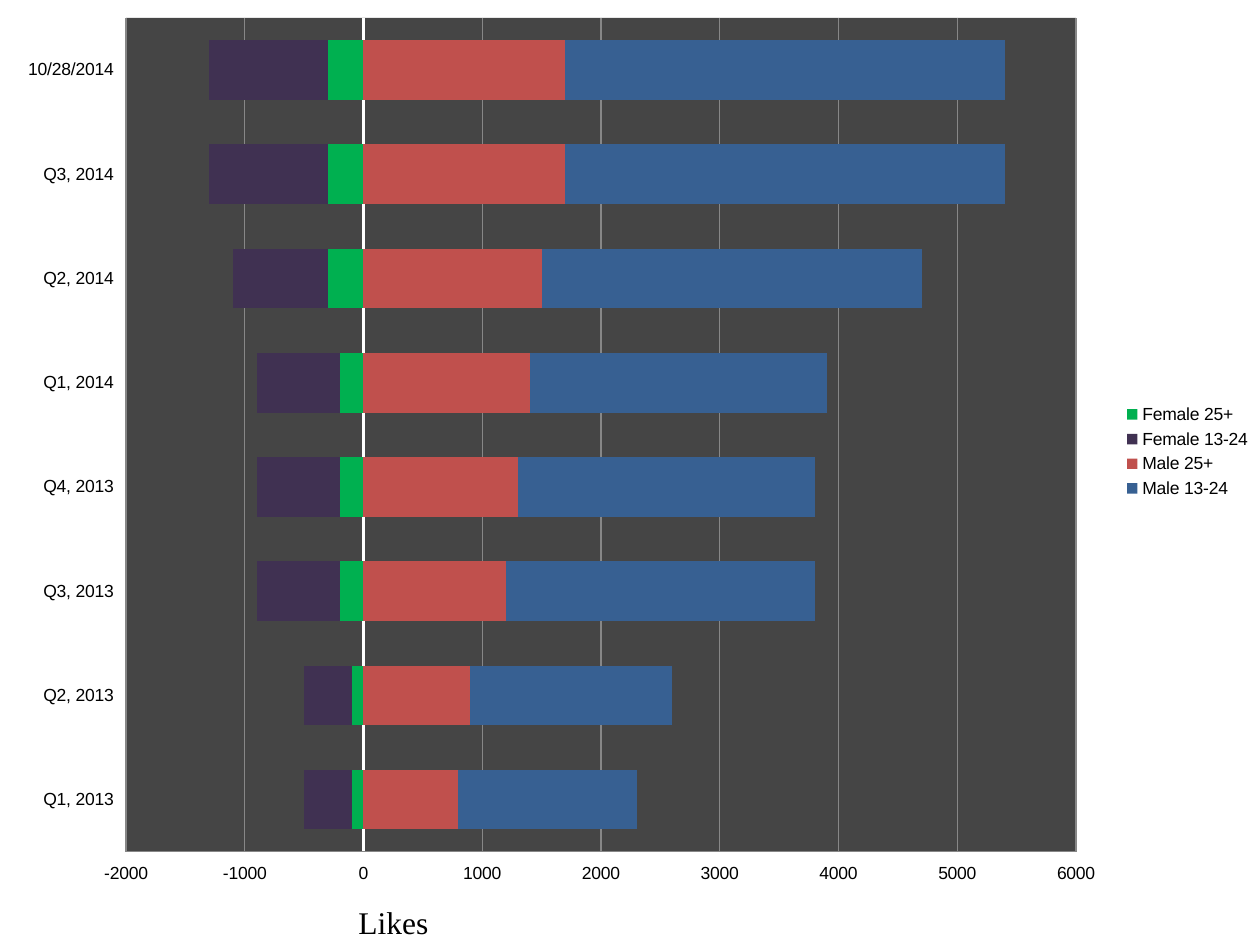
import pptx
import pptx.chart.data
import pptx.dml.color
import pptx.enum.chart
import pptx.oxml
import pptx.oxml.ns
import pptx.util

RGB = pptx.dml.color.RGBColor
BLACK = RGB(0x00, 0x00, 0x00)
WHITE = RGB(0xFF, 0xFF, 0xFF)
GRAY = RGB(0x87, 0x87, 0x87)
CHARCOAL = RGB(0x45, 0x45, 0x45)
BLUE = RGB(0x37, 0x60, 0x92)
RED = RGB(0xC0, 0x50, 0x4D)
PURPLE = RGB(0x40, 0x31, 0x52)
GREEN = RGB(0x00, 0xB0, 0x50)

PX_PER_INCH = 126
CHART_BOX = (4, 0, 1260, 903)
PLOT_BOX = (126, 18, 950, 834)
LABEL_BOX = (346, 897, 105, 50)

QUARTERS = ["Q1, 2013", "Q2, 2013", "Q3, 2013", "Q4, 2013",
            "Q1, 2014", "Q2, 2014", "Q3, 2014", "10/28/2014"]
SERIES = [
    ("Male 13-24", BLUE, [2300, 2600, 3800, 3800, 3900, 4700, 5400, 5400]),
    ("Male 25+", RED, [800, 900, 1200, 1300, 1400, 1500, 1700, 1700]),
    ("Female 13-24", PURPLE, [-500, -500, -900, -900, -900, -1100, -1300, -1300]),
    ("Female 25+", GREEN, [-100, -100, -200, -200, -200, -300, -300, -300]),
]


def px(n):
    return pptx.util.Emu(n * 914400 // PX_PER_INCH)


def set_attrs(obj, values):
    for name, value in values.items():
        setattr(obj, name, value)


def set_font(font, name, size, color):
    set_attrs(font, {"name": name, "size": pptx.util.Pt(size)})
    font.color.rgb = color


def set_line(line, color, width):
    line.color.rgb = color
    line.width = pptx.util.Pt(width)


def format_plot_area(chart):
    area = chart._chartSpace.chart.plotArea
    for old in area.findall(pptx.oxml.ns.qn("c:layout")):
        area.remove(old)
    left, top, width, height = CHART_BOX
    x, y, w, h = PLOT_BOX
    fractions = {"x": (x - left) / width, "y": (y - top) / height,
                 "w": w / width, "h": h / height}
    parts = "".join(f'<c:{k} val="{v:.4f}"/>' for k, v in fractions.items())
    ns = pptx.oxml.ns.nsdecls("c", "a")
    area.insert(0, pptx.oxml.parse_xml(
        f'<c:layout {ns}><c:manualLayout><c:layoutTarget val="inner"/>'
        f'<c:xMode val="edge"/><c:yMode val="edge"/>{parts}'
        '</c:manualLayout></c:layout>'))
    area.append(pptx.oxml.parse_xml(
        f'<c:spPr {ns}><a:solidFill><a:srgbClr val="{CHARCOAL}"/>'
        '</a:solidFill></c:spPr>'))


def format_axis(axis, color, width):
    set_attrs(axis, {
        "major_tick_mark": pptx.enum.chart.XL_TICK_MARK.NONE,
        "minor_tick_mark": pptx.enum.chart.XL_TICK_MARK.NONE,
        "tick_label_position": pptx.enum.chart.XL_TICK_LABEL_POSITION.LOW,
    })
    set_line(axis.format.line, color, width)


def add_likes_chart(s):
    data = pptx.chart.data.CategoryChartData()
    data.categories = QUARTERS
    for name, _, values in SERIES:
        data.add_series(name, values)
    chart = s.shapes.add_chart(pptx.enum.chart.XL_CHART_TYPE.BAR_CLUSTERED,
                               *map(px, CHART_BOX), data).chart
    set_attrs(chart, {"has_title": False, "has_legend": True})
    set_font(chart.font, "Arial", 10, BLACK)
    set_attrs(chart.legend, {
        "position": pptx.enum.chart.XL_LEGEND_POSITION.RIGHT,
        "include_in_layout": False,
    })
    plot = chart.plots[0]
    set_attrs(plot, {"gap_width": 75, "overlap": 100, "vary_by_categories": False})
    for series, (_, color, _) in zip(plot.series, SERIES):
        series.invert_if_negative = False
        series.format.fill.solid()
        series.format.fill.fore_color.rgb = color
    format_axis(chart.category_axis, WHITE, 1.5)
    axis = chart.value_axis
    format_axis(axis, GRAY, 0.75)
    set_attrs(axis, {"minimum_scale": -2000, "maximum_scale": 6000,
                     "major_unit": 1000, "has_major_gridlines": True})
    set_line(axis.major_gridlines.format.line, GRAY, 0.75)
    format_plot_area(chart)


def add_label(s, box, text):
    tf = s.shapes.add_textbox(*map(px, box)).text_frame
    r = tf.paragraphs[0].add_run()
    r.text = text
    set_font(r.font, "Times New Roman", 18, BLACK)


def main():
    prs = pptx.Presentation()
    set_attrs(prs, {"slide_width": px(1260), "slide_height": px(945)})
    s = prs.slides.add_slide(prs.slide_layouts[6])
    add_likes_chart(s)
    add_label(s, LABEL_BOX, "Likes")
    prs.save("out.pptx")


if __name__ == "__main__":
    main()
